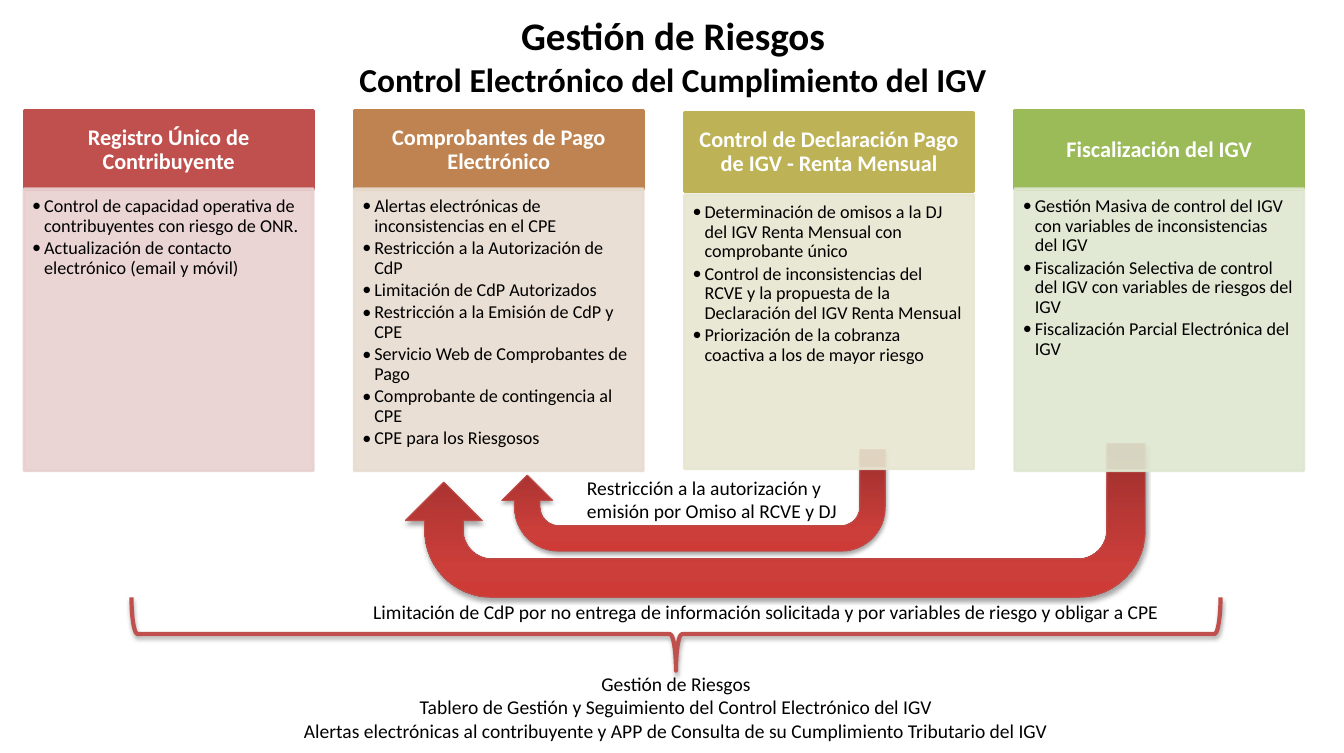
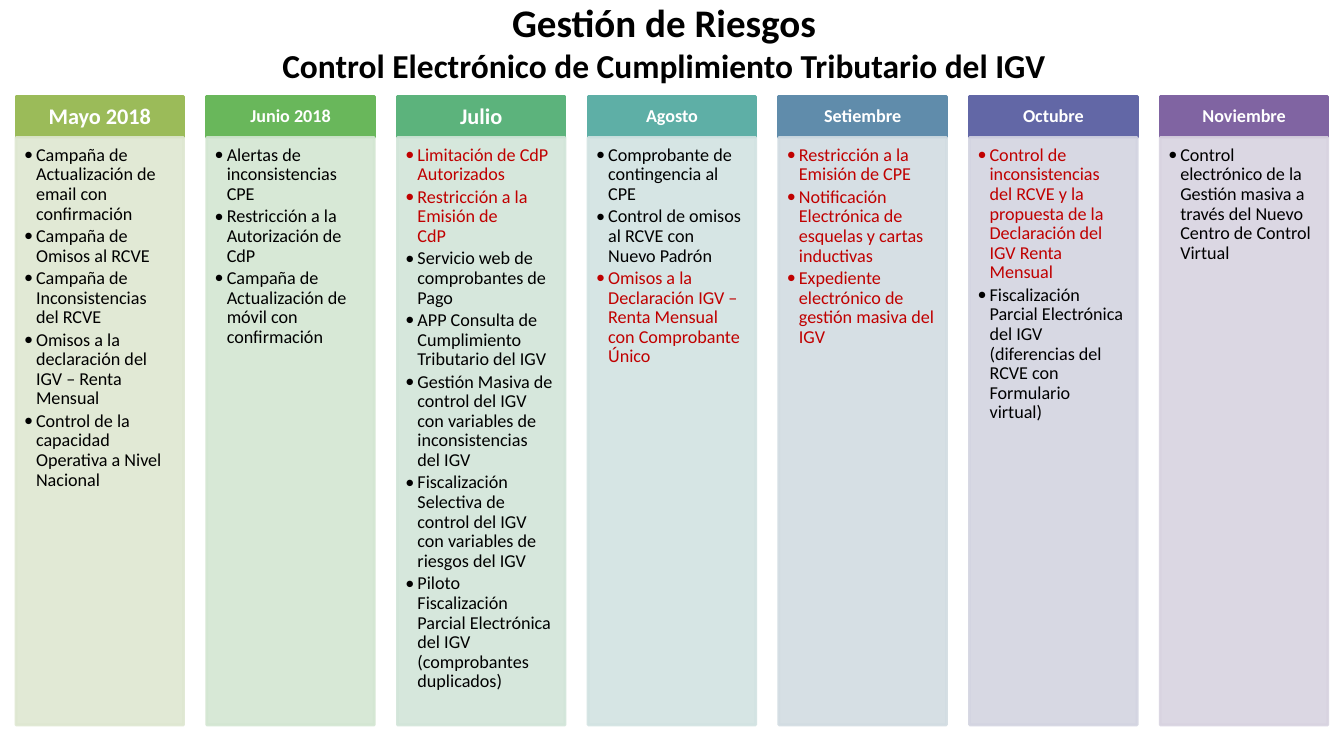
from dataclasses import dataclass
from lxml.etree import SubElement as Sub
from pptx import Presentation as Deck
from pptx.dml.color import RGBColor as Rgb
from pptx.enum.shapes import MSO_SHAPE as Kind
from pptx.enum.text import MSO_ANCHOR as Anchor, PP_ALIGN as Align
from pptx.oxml.ns import qn
from pptx.util import Emu, Pt

PX = 9144


@dataclass(frozen=True)
class Theme:
    font: str = "Calibri"
    ink: str = "000000"
    hot: str = "C00000"
    white: str = "FFFFFF"
    brace: str = "C0504D"
    edge: str = "BF4C48"
    fade: tuple = ((0, "9C2F2D"), (80, "CB3E3A"), (100, "CE3B37"))
    title: tuple = (28, 24)
    head: int = 16
    small: int = 13
    note: int = 14
    alpha: int = 90


T = Theme()

AREAS = [
    ("Registro Único de Contribuyente", T.head, "C0504D", "E8D0D0", [
        "Control de capacidad operativa de contribuyentes con riesgo de ONR.",
        "Actualización de contacto electrónico (email y móvil)"]),
    ("Comprobantes de Pago Electrónico", T.head, "BE8351", "E8DCD0", [
        "Alertas electrónicas de inconsistencias en el CPE",
        "Restricción a la Autorización de CdP",
        "Limitación de CdP Autorizados",
        "Restricción a la Emisión de CdP y CPE",
        "Servicio Web de Comprobantes de Pago",
        "Comprobante de contingencia al CPE",
        "CPE para los Riesgosos"]),
    ("Control de Declaración Pago de IGV - Renta Mensual", T.head, "BDB255", "E7E6D1", [
        "Determinación de omisos a la DJ del IGV Renta Mensual con comprobante único",
        "Control de inconsistencias del RCVE y la propuesta de la Declaración del IGV Renta Mensual",
        "Priorización de la cobranza coactiva a los de mayor riesgo"]),
    ("Fiscalización del IGV", T.head, "9BBB59", "DEE7D1", [
        "Gestión Masiva de control del IGV con variables de inconsistencias del IGV",
        "Fiscalización Selectiva de control del IGV con variables de riesgos del IGV",
        "Fiscalización Parcial Electrónica del IGV"]),
]
AREA_ROWS = [(110, 79, 188, 281), (110, 79, 188, 281),
             (112, 79, 194, 273), (110, 79, 188, 281)]

MONTHS = [
    ("Mayo 2018", T.head, "9BBB59", "DEE7D1", [
        "Campaña de Actualización de email con confirmación",
        "Campaña de Omisos al RCVE",
        "Campaña de Inconsistencias del RCVE",
        "Omisos a la declaración del IGV – Renta Mensual",
        "Control de la capacidad Operativa a Nivel Nacional"]),
    ("Junio 2018", T.small, "69B75B", "D3E6D2", [
        "Alertas de inconsistencias CPE",
        "Restricción a la Autorización de CdP",
        "Campaña de Actualización de móvil con confirmación"]),
    ("Julio", T.head, "5CB37C", "D2E5D9", [
        "*Limitación de CdP Autorizados",
        "*Restricción a la Emisión de\vCdP",
        "Servicio web de comprobantes de Pago",
        "APP Consulta de Cumplimiento Tributario del IGV",
        "Gestión Masiva de control del IGV con variables de inconsistencias del IGV",
        "Fiscalización Selectiva de control del IGV con variables de riesgos del IGV",
        "Piloto Fiscalización Parcial Electrónica del IGV (comprobantes duplicados)"]),
    ("Agosto", T.small, "5EAFA6", "D2E3E2", [
        "Comprobante de contingencia al CPE",
        "Control de omisos al RCVE con Nuevo Padrón",
        "*Omisos a la Declaración IGV – Renta Mensual con Comprobante Único"]),
    ("Setiembre", T.small, "608CAB", "D2DCE2", [
        "*Restricción a la Emisión de CPE",
        "*Notificación Electrónica de esquelas y cartas inductivas",
        "*Expediente electrónico de gestión masiva del IGV"]),
    ("Octubre", T.small, "6267A6", "D3D4E1", [
        "*Control de inconsistencias del RCVE y la propuesta de la Declaración del IGV Renta Mensual",
        "Fiscalización Parcial Electrónica del IGV (diferencias del RCVE con Formulario virtual)"]),
    ("Noviembre", T.small, "8064A2", "D8D3E0", [
        "Control electrónico de la Gestión masiva a través del Nuevo Centro de Control Virtual"]),
]
MONTH_ROWS = [(96, 41, 137, 585)] * len(MONTHS)

TITLES = ["Gestión de Riesgos\vControl Electrónico del Cumplimiento del IGV",
          "Gestión de Riesgos\vControl Electrónico de Cumplimiento Tributario del IGV"]

NOTES = [
    ((362, 593, 835, 34), Align.LEFT, [
        "Limitación de CdP por no entrega de información solicitada y por variables de riesgo y obligar a CPE"]),
    ((575, 469, 276, 57), Align.LEFT, [
        "Restricción a la autorización y emisión por Omiso al RCVE y DJ"]),
    ((131, 664, 1085, 81), Align.CENTER, [
        "Gestión de Riesgos",
        "Tablero de Gestión y Seguimiento del Control Electrónico del IGV",
        "Alertas electrónicas al contribuyente y APP de Consulta de su Cumplimiento Tributario del IGV"]),
]


def scale(box):
    return [Emu(n * PX) for n in box]


def write(shape, lines, sizes, color=T.ink, bold=False, align=Align.LEFT,
          anchor=Anchor.TOP, pad=(10, 5, 10, 5), lead=None, bullet=False):
    frame = shape.text_frame
    frame.word_wrap = True
    frame.vertical_anchor = anchor
    (frame.margin_left, frame.margin_top,
     frame.margin_right, frame.margin_bottom) = scale(pad)
    for i, line in enumerate(lines):
        para = frame.add_paragraph() if i else frame.paragraphs[0]
        para.text = line.removeprefix("*")
        para.alignment = align
        para.line_spacing = lead
        for j, run in enumerate(para.runs):
            font = run.font
            font.name, font.bold = T.font, bold
            font.size = Pt(sizes[min(j, len(sizes) - 1)])
            font.color.rgb = Rgb.from_string(T.hot if line.startswith("*") else color)
        if bullet:
            para.space_after = Pt(2)
            prop = para._p.get_or_add_pPr()
            prop.set("marL", str(12 * PX))
            prop.set("indent", str(-12 * PX))
            Sub(prop, qn("a:buFont"), typeface=T.font)
            Sub(prop, qn("a:buChar"), char="•")


def label(slide, box, lines, sizes, **form):
    write(slide.shapes.add_textbox(*scale(box)), lines, sizes, **form)


def draw(slide, kind, box, edge, width, fill=None):
    shape = slide.shapes.add_shape(kind, *scale(box))
    shape.shadow.inherit = False
    if fill:
        shape.fill.solid()
        shape.fill.fore_color.rgb = Rgb.from_string(fill)
    else:
        shape.fill.background()
    shape.line.color.rgb = Rgb.from_string(edge)
    shape.line.width = Pt(width)
    return shape


def shade(shape):
    glow = shape._element.spPr.find(qn("a:effectLst"))
    cast = Sub(glow, qn("a:outerShdw"), blurRad=str(Pt(3.1)), dist=str(Pt(1.8)),
               dir="5400000", rotWithShape="0")
    tone = Sub(cast, qn("a:srgbClr"), val=T.ink)
    Sub(tone, qn("a:alpha"), val="35000")


def arrow(slide, box):
    shape = draw(slide, Kind.U_TURN_ARROW, box, T.edge, 0.75)
    shape.fill.gradient()
    shape.fill.gradient_angle = 90
    prop = shape._element.spPr
    stops = prop.find(qn("a:gradFill")).find(qn("a:gsLst"))
    for old in list(stops):
        stops.remove(old)
    for at, color in T.fade:
        stop = Sub(stops, qn("a:gs"), pos=str(at * 1000))
        Sub(stop, qn("a:srgbClr"), val=color)
    turn = prop.find(qn("a:xfrm"))
    turn.set("flipH", "1")
    turn.set("flipV", "1")
    shade(shape)


def columns(slide, cols, rows, left, step, width):
    for i, (col, row) in enumerate(zip(cols, rows)):
        name, size, hue, tint, items = col
        top, high, low, deep = row
        x = left + i * step
        head = draw(slide, Kind.RECTANGLE, (x, top, width, high), hue, 2, hue)
        pad = (12, 7, 12, 7) if size == T.head else (10, 6, 10, 6)
        write(head, [name], [size], color=T.white, bold=True, align=Align.CENTER,
              anchor=Anchor.MIDDLE, pad=pad, lead=0.9)
        body = draw(slide, Kind.RECTANGLE, (x, low, width, deep), tint, 2, tint)
        for tone in body._element.spPr.iter(qn("a:srgbClr")):
            Sub(tone, qn("a:alpha"), val=str(T.alpha * 1000))
        write(body, items, [T.small], pad=(8, 8, 11, 11), lead=0.9, bullet=True)


def title(slide, box, text):
    label(slide, box, [text], T.title, bold=True, align=Align.CENTER,
          anchor=Anchor.MIDDLE)


def main():
    deck = Deck()
    deck.slide_width, deck.slide_height = scale((1339, 750))
    risk, plan = [deck.slides.add_slide(deck.slide_layouts[6]) for _ in TITLES]

    arrow(risk, (500, 448, 382, 101))
    title(risk, (158, 0, 1025, 110), TITLES[0])
    arrow(risk, (404, 442, 737, 153))
    columns(risk, AREAS, AREA_ROWS, 24, 329, 288)
    brace = draw(risk, Kind.LEFT_BRACE, (637, 89, 73, 1085), T.brace, 3)
    brace.rotation = 270
    shade(brace)
    for box, align, lines in NOTES:
        label(risk, box, lines, [T.note], align=align)

    title(plan, (0, 0, 1323, 84), TITLES[1])
    columns(plan, MONTHS, MONTH_ROWS, 16, 190, 167)
    deck.save("out.pptx")


if __name__ == "__main__":
    main()
